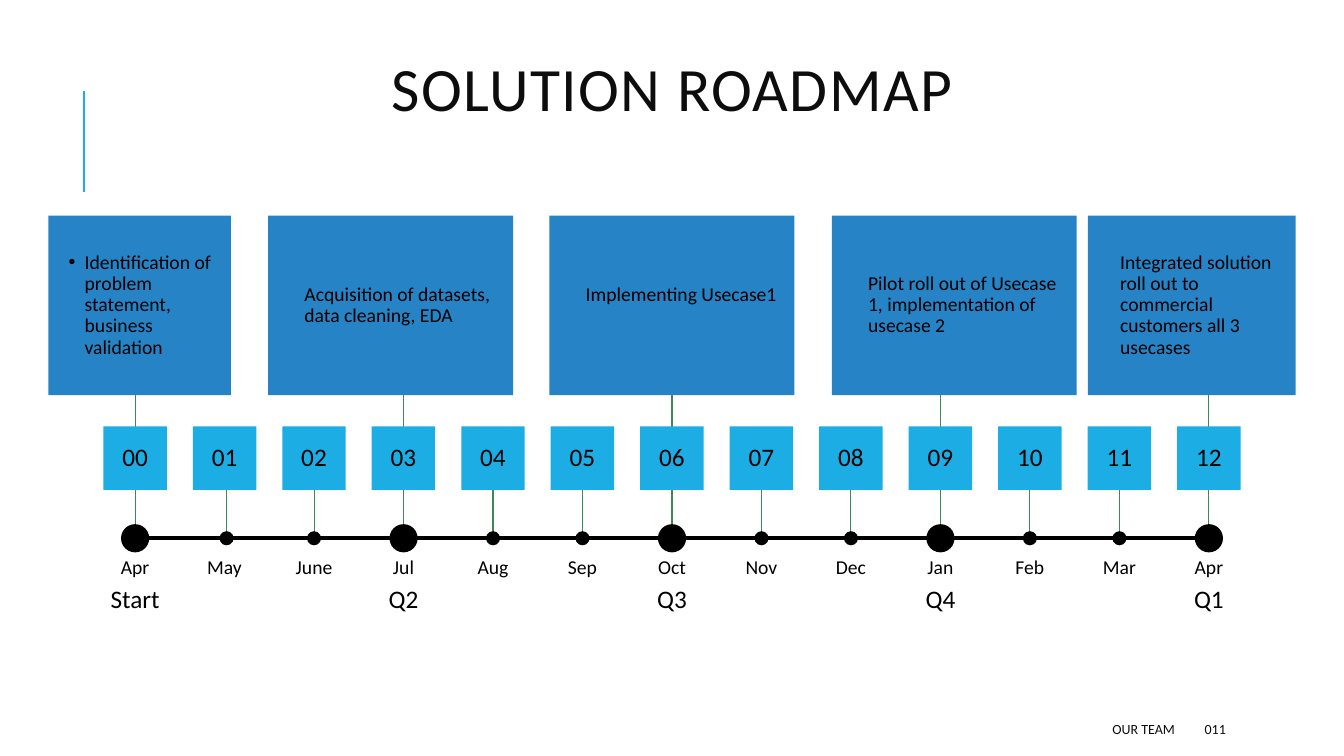
from lxml import etree
from pptx import Presentation
from pptx.dml.color import RGBColor
from pptx.enum.shapes import MSO_CONNECTOR, MSO_SHAPE
from pptx.enum.text import MSO_ANCHOR, PP_ALIGN
from pptx.oxml.ns import qn
from pptx.util import Emu, Pt

SCALE = 9144  # EMU per px, 100 px to the inch
LINE, RECT, OVAL = MSO_CONNECTOR.STRAIGHT, MSO_SHAPE.RECTANGLE, MSO_SHAPE.OVAL
LEFT, CENTER, RIGHT = PP_ALIGN.LEFT, PP_ALIGN.CENTER, PP_ALIGN.RIGHT
MIDDLE = MSO_ANCHOR.MIDDLE

BLACK = RGBColor(0x00, 0x00, 0x00)
INK = RGBColor(0x0D, 0x0D, 0x0D)
SKY = RGBColor(0x1C, 0xAD, 0xE4)
BLUE = RGBColor(0x26, 0x83, 0xC6)
GREEN = RGBColor(0x3E, 0x88, 0x53)

MONTHS = ["Apr", "May", "June", "Jul", "Aug", "Sep", "Oct",
          "Nov", "Dec", "Jan", "Feb", "Mar", "Apr"]
QUARTERS = ["Start", "Q2", "Q3", "Q4", "Q1"]
NUDGE = {1: 2}  # the May marker sits slightly right of its column

# left, width, insets, bullet, text
CARDS = [
    (48, 181, (20, 5, 5, 5), "•",
     "Identification of problem statement, business validation"),
    (266, 243, (20, 5, 5, 5), None, "Acquisition of datasets, data cleaning, EDA"),
    (545, 243, (20, 5, 5, 26), None, "Implementing Usecase1"),
    (825, 243, (20, 5, 5, 5), None,
     "Pilot roll out of Usecase 1, implementation of usecase 2"),
    (1079, 206, (16, 5, 5, 5), None,
     "Integrated solution roll out to commercial customers all 3 usecases"),
]


def px(n):
    return Emu(round(n * SCALE))


def write(sp, text, size, color=BLACK, align=CENTER, anchor=MIDDLE,
          insets=(0, 0, 0, 0), spacing=0.9, indent=0, bullet=None, tracking=0):
    tf = sp.text_frame
    tf.word_wrap = True
    tf.vertical_anchor = anchor
    tf.margin_left, tf.margin_top, tf.margin_right, tf.margin_bottom = map(px, insets)
    p = tf.paragraphs[0]
    p.alignment = align
    p.line_spacing = spacing
    pPr = p._p.get_or_add_pPr()
    if indent:
        pPr.set("marL", str(px(indent)))
        pPr.set("indent", str(px(-indent) if bullet else 0))
    if bullet:
        etree.SubElement(pPr, qn("a:buFont")).set("typeface", "Arial")
        etree.SubElement(pPr, qn("a:buChar")).set("char", bullet)
    r = p.add_run()
    r.text = text
    r.font.name, r.font.size, r.font.color.rgb = "Calibri", Pt(size), color
    if tracking:
        r._r.get_or_add_rPr().set("spc", str(tracking * 100))


def add_text(s, box, text, size, **fmt):
    write(s.shapes.add_textbox(*map(px, box)), text, size, **fmt)


def add_filled(s, kind, box, color):
    sp = s.shapes.add_shape(kind, *map(px, box))
    sp.shadow.inherit = False
    sp.fill.solid()
    sp.fill.fore_color.rgb = color
    sp.line.fill.background()
    return sp


def add_line(s, x1, y1, x2, y2, color, width):
    cx = s.shapes.add_connector(LINE, *map(px, (x1, y1, x2, y2)))
    cx.line.color.rgb = color
    cx.line.width = Pt(width)
    etree.SubElement(cx._element.spPr, qn("a:effectLst"))


def add_header(s, left, top, width, height):
    add_line(s, 83, 190, 83, 90, SKY, 1.5)
    add_text(s, (left, top, width, height), "SOLUTION ROADMAP", 44, color=INK,
             spacing=0.8, insets=(10, 5, 10, 5), tracking=1)


def add_timeline(s, left, top, width):
    """Axis, stems, dots, number tiles and labels; top is the tiles' top edge."""
    axis = top + 111
    step = width / (len(MONTHS) - 1)
    add_line(s, left, axis, left + width, axis, BLACK, 2.84)
    for i, month in enumerate(MONTHS):
        x = left + i * step
        major = i % 3 == 0
        mark = x + NUDGE.get(i, 0)
        # Stem and dot
        dot = 28 if major else 14
        add_line(s, mark, axis, mark, top - 31 if major else top + 63, GREEN, 0.75)
        add_filled(s, OVAL, (mark - dot / 2, axis - dot / 2, dot, dot), BLACK)
        # Number tile
        tile = add_filled(s, RECT, (x - 31.5, top, 63, 63), SKY)
        write(tile, f"{i:02}", 18, insets=(5, 5, 5, 5))
        # Month and quarter labels
        add_text(s, (x - 36.5, top + 126, 73, 29), month, 14)
        if major:
            add_text(s, (x - 36.5, top + 158, 73, 29), QUARTERS[i // 3], 18)


def add_cards(s, top, height):
    for left, width, insets, bullet, text in CARDS:
        card = add_filled(s, RECT, (left, top, width, height), BLUE)
        write(card, text, 14, align=LEFT, insets=insets, indent=16, bullet=bullet)


def add_footer(s, top, height):
    fmt = {"color": INK, "spacing": 1.0, "insets": (10, 5, 10, 5)}
    add_text(s, (530, top, 645, height), "OUR TEAM", 10, align=RIGHT, **fmt)
    add_text(s, (1185, top, 106, height), "011", 10, align=LEFT, **fmt)


def main():
    prs = Presentation()
    prs.slide_width, prs.slide_height = px(1333), px(750)
    s = prs.slides.add_slide(prs.slide_layouts[6])
    add_header(s, 167, 56, 1000, 75)
    add_timeline(s, 134, 423, 1065)
    add_cards(s, 214, 178)
    add_footer(s, 708, 30)
    prs.save("out.pptx")


if __name__ == "__main__":
    main()
